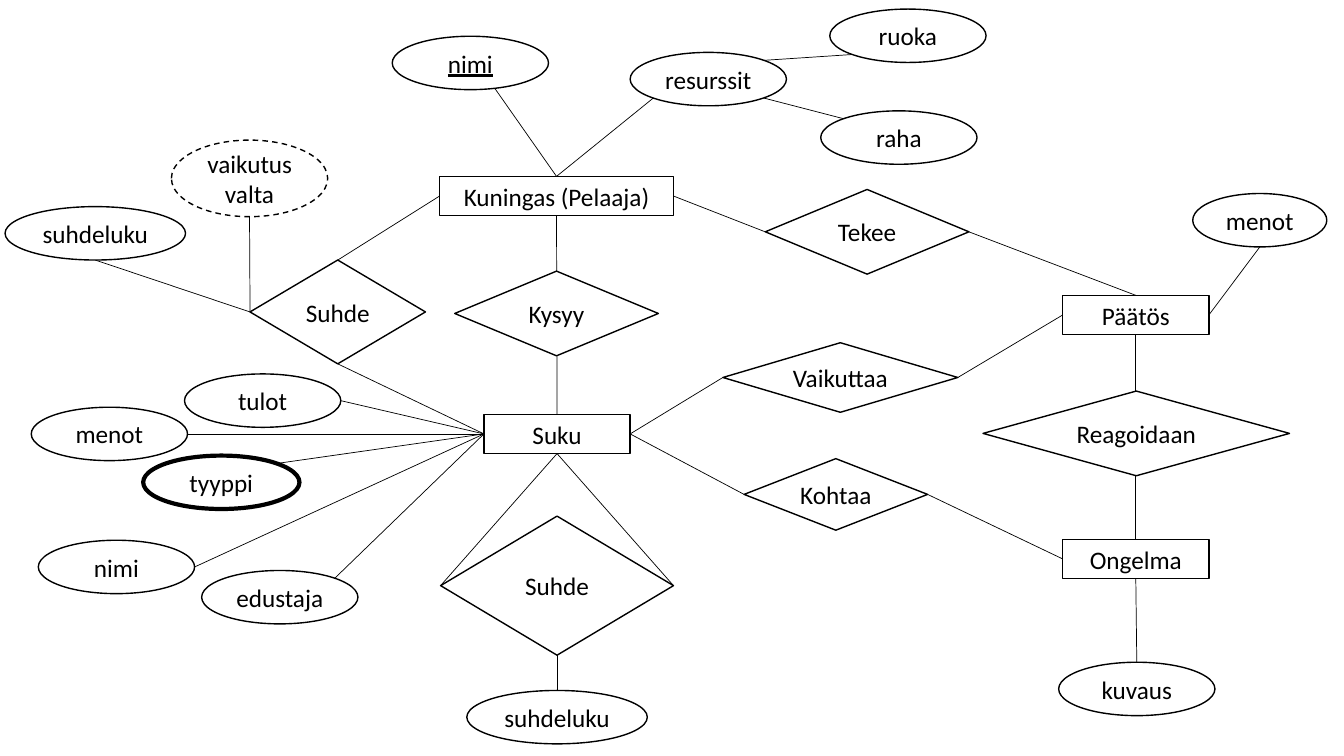
import pptx
import pptx.dml.color
import pptx.enum.dml
import pptx.enum.shapes
import pptx.enum.text
import pptx.util
from lxml import etree
from pptx.util import Inches

BLACK = pptx.dml.color.RGBColor(0, 0, 0)
WHITE = pptx.dml.color.RGBColor(255, 255, 255)
SHAPE = pptx.enum.shapes.MSO_SHAPE
FONT = "Calibri"

# Key: text, left, top, width, height
ENTITIES = {
    "king": ("Kuningas (Pelaaja)", 4.36, 1.75, 2.32, 0.39),
    "family": ("Suku", 4.8, 4.11, 1.45, 0.39),
    "decision": ("Päätös", 10.54, 2.93, 1.45, 0.39),
    "problem": ("Ongelma", 10.54, 5.35, 1.45, 0.39),
}
RELATIONS = {
    "asks": ("Kysyy", 4.51, 2.69, 2.02, 0.84),
    "makes": ("Tekee", 7.59, 1.88, 2.02, 0.84),
    "affects": ("Vaikuttaa", 7.17, 3.4, 2.33, 0.69),
    "faces": ("Kohtaa", 7.38, 4.55, 1.82, 0.71),
    "reacts": ("Reagoidaan", 9.75, 3.88, 3.04, 0.84),
    "king relation": ("Suhde", 2.48, 2.58, 1.74, 1.03),
    "family relation": ("Suhde", 4.37, 5.12, 2.31, 1.38),
}
# Key: text, left, top, width
ATTRIBUTES = {
    "king name": ("nimi", 3.89, 0.36, 1.55),
    "resources": ("resurssit", 6.25, 0.52, 1.55),
    "food": ("ruoka", 8.23, 0.09, 1.55),
    "money": ("raha", 8.14, 1.1, 1.55),
    "influence": ("vaikutusvalta", 1.7, 1.39, 1.55),
    "king ratio": ("suhdeluku", 0.05, 2.05, 1.79),
    "family ratio": ("suhdeluku", 4.63, 6.85, 1.79),
    "income": ("tulot", 1.83, 3.71, 1.55),
    "family costs": ("menot", 0.31, 4.04, 1.55),
    "type": ("tyyppi", 1.42, 4.52, 1.55),
    "family name": ("nimi", 0.38, 5.36, 1.55),
    "agent": ("edustaja", 2, 5.66, 1.55),
    "description": ("kuvaus", 10.5, 6.57, 1.55),
    "decision costs": ("menot", 11.83, 1.92, 1.33),
}
ATTRIBUTE_HEIGHT = 0.53
INFLUENCE_HEIGHT = 0.76

# Place on a node as a share of its width and height
SITES = {
    "top": (0.5, 0), "left": (0, 0.5), "bottom": (0.5, 1), "right": (1, 0.5),
    "top left": (0.15, 0.15), "top right": (0.85, 0.15),
    "bottom left": (0.15, 0.85), "bottom right": (0.85, 0.85),
    "inside": (0.55, 0.53),
}
SIDES = ["top", "left", "bottom", "right"]

LINKS = [
    ("king", "top", "king name", "inside"),
    ("king", "top", "resources", "bottom left"),
    ("food", "bottom left", "resources", "top right"),
    ("money", "top left", "resources", "bottom right"),
    ("king", "left", "king relation", "top"),
    ("king", "right", "makes", "left"),
    ("king", "bottom", "family", "top"),
    ("influence", "bottom", "king relation", "left"),
    ("king ratio", "bottom", "king relation", "left"),
    ("king relation", "bottom", "family", "left"),
    ("income", "right", "family", "left"),
    ("family costs", "right", "family", "left"),
    ("type", "top right", "family", "left"),
    ("family name", "right", "family", "left"),
    ("agent", "top right", "family", "left"),
    ("family", "right", "affects", "left"),
    ("family", "right", "faces", "left"),
    ("family", "bottom", "family relation", "left"),
    ("family", "bottom", "family relation", "right"),
    ("family relation", "bottom", "family ratio", "top"),
    ("makes", "right", "decision", "top"),
    ("affects", "right", "decision", "left"),
    ("faces", "right", "problem", "left"),
    ("decision", "bottom", "problem", "top"),
    ("decision costs", "bottom", "decision", "right"),
    ("problem", "bottom", "description", "top"),
]


def add_node(s, kind, text, left, top, width, height):
    sp = s.shapes.add_shape(kind, Inches(left), Inches(top), Inches(width), Inches(height))
    sp.shadow.inherit = False
    sp.fill.solid()
    sp.fill.fore_color.rgb = WHITE
    sp.line.color.rgb = BLACK
    sp.line.width = pptx.util.Pt(1)
    tf = sp.text_frame
    tf.word_wrap = False
    tf.vertical_anchor = pptx.enum.text.MSO_ANCHOR.MIDDLE
    p = tf.paragraphs[0]
    p.text = text
    p.alignment = pptx.enum.text.PP_ALIGN.CENTER
    p.font.name = FONT
    p.font.size = pptx.util.Pt(18)
    p.font.color.rgb = BLACK
    return sp


def site_point(sp, site):
    x, y = SITES[site]
    return int(sp.left + x * sp.width), int(sp.top + y * sp.height)


def add_link(s, start, start_site, end, end_site):
    """Draw a thin line behind the nodes, joined to rectangles and diamonds."""
    line = s.shapes.add_connector(pptx.enum.shapes.MSO_CONNECTOR.STRAIGHT,
                                  *site_point(start, start_site), *site_point(end, end_site))
    line.line.color.rgb = BLACK
    line.line.width = pptx.util.Pt(0.5)
    sp_pr = line.element.spPr
    etree.SubElement(sp_pr, pptx.oxml.ns.qn("a:effectLst"))
    for sp, site, connect in ((start, start_site, line.begin_connect),
                              (end, end_site, line.end_connect)):
        if sp.auto_shape_type != SHAPE.OVAL:
            connect(sp, SIDES.index(site))
    line.element.getparent().insert(2, line.element)


def main():
    prs = pptx.Presentation()
    prs.slide_width, prs.slide_height = Inches(13.33), Inches(7.5)
    s = prs.slides.add_slide(prs.slide_layouts[6])

    nodes = {}
    for key, box in ENTITIES.items():
        nodes[key] = add_node(s, SHAPE.RECTANGLE, *box)
    for key, box in RELATIONS.items():
        nodes[key] = add_node(s, SHAPE.DIAMOND, *box)
    for key, box in ATTRIBUTES.items():
        nodes[key] = add_node(s, SHAPE.OVAL, *box, ATTRIBUTE_HEIGHT)

    nodes["king name"].text_frame.paragraphs[0].font.underline = True
    nodes["type"].line.width = pptx.util.Pt(3)
    influence = nodes["influence"]
    influence.height = Inches(INFLUENCE_HEIGHT)
    influence.line.dash_style = pptx.enum.dml.MSO_LINE.DASH
    influence.text_frame.word_wrap = True

    for start, start_site, end, end_site in LINKS:
        add_link(s, nodes[start], start_site, nodes[end], end_site)

    prs.save("out.pptx")


if __name__ == "__main__":
    main()
